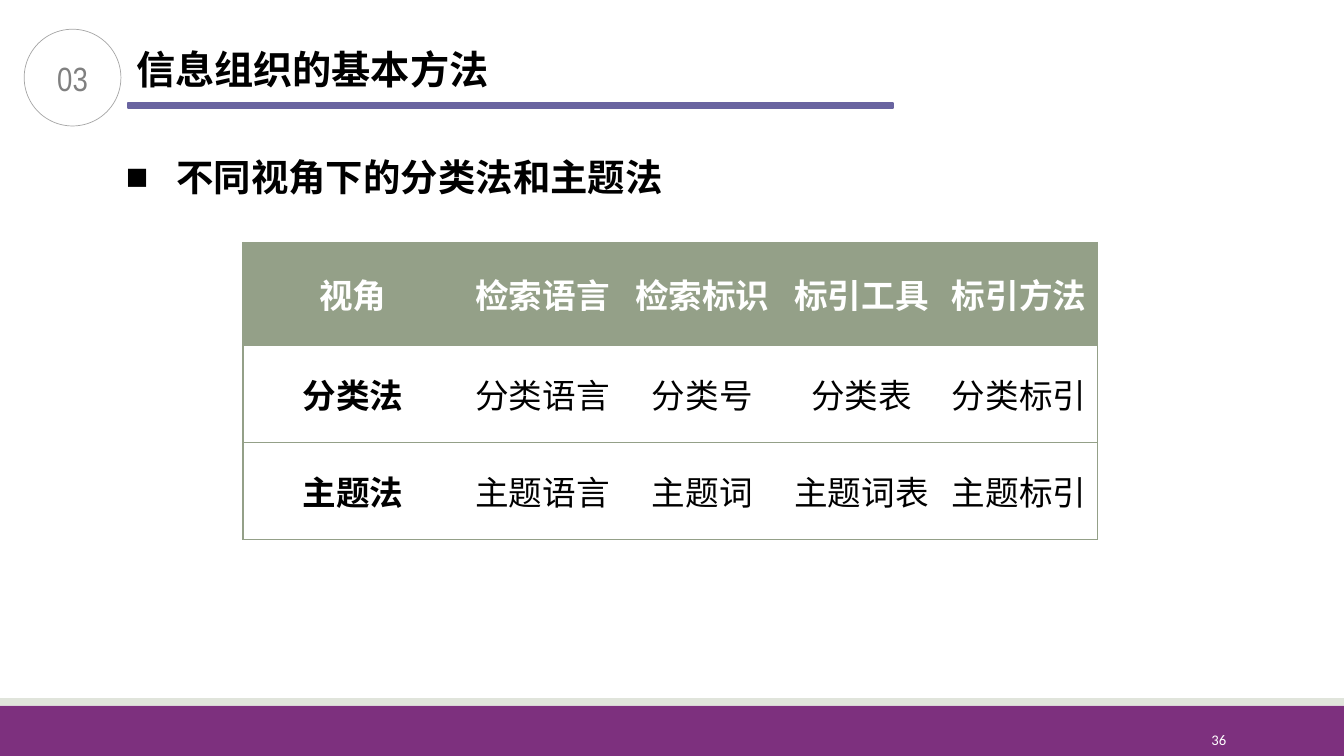
from dataclasses import dataclass

from lxml import etree
from pptx import Presentation
from pptx import util as u
from pptx.dml.color import RGBColor
from pptx.enum import shapes, text
from pptx.oxml.ns import qn


@dataclass(frozen=True)
class Theme:
    purple: str = "7D307E"
    pale: str = "E0E4DB"
    violet: str = "6964A0"
    sage: str = "94A088"
    ring: str = "A6A6A6"
    gray: str = "808080"
    black: str = "000000"
    white: str = "FFFFFF"
    cjk: str = "Noto Sans CJK SC"
    number_font: str = "Arial Narrow"
    page_font: str = "Calibri"
    title: float = 28
    body: float = 26.7
    cell: float = 24
    page: float = 10.5


def rgb(color):
    return RGBColor.from_string(color)


def write(tf, content, size, font, color, bold=False, align=text.PP_ALIGN.LEFT,
          spacing=None, bullet=None, indent=0):
    p = tf.paragraphs[0]
    p.alignment = align
    if spacing:
        p.line_spacing = spacing
    pPr = p._p.get_or_add_pPr()
    if bullet:
        pPr.set("marL", str(u.Pt(indent)))
        pPr.set("indent", str(-u.Pt(indent)))
        etree.SubElement(pPr, qn("a:buFont"), typeface="Arial")
        etree.SubElement(pPr, qn("a:buChar"), char=bullet)
    r = p.add_run()
    r.text = content
    f = r.font
    f.size, f.name, f.bold = u.Pt(size), font, bold
    f.color.rgb = rgb(color)
    etree.SubElement(r._r.get_or_add_rPr(), qn("a:ea"), typeface=font)


class Deck:
    def __init__(self, theme):
        self.t = theme
        self.prs = Presentation()
        self.prs.slide_width, self.prs.slide_height = u.Pt(960), u.Pt(540)
        self.s = self.prs.slides.add_slide(self.prs.slide_layouts[5])

    def title(self, content, box, **fmt):
        sp = self.s.shapes.title
        sp.left, sp.top, sp.width, sp.height = map(u.Pt, box)
        self.frame(sp, content, wrap=False, **fmt)

    def text(self, content, box, **fmt):
        self.frame(self.s.shapes.add_textbox(*map(u.Pt, box)), content, **fmt)

    def frame(self, sp, content, wrap=True, **fmt):
        tf = sp.text_frame
        tf.word_wrap = wrap
        tf.auto_size = text.MSO_AUTO_SIZE.NONE
        tf.vertical_anchor = text.MSO_ANCHOR.MIDDLE
        tf.margin_top = tf.margin_bottom = 0
        write(tf, content, **fmt)

    def shape(self, kind, box, fill=None, line=None, weight=1):
        sp = self.s.shapes.add_shape(kind, *map(u.Pt, box))
        sp.shadow.inherit = False
        if fill:
            sp.fill.solid()
            sp.fill.fore_color.rgb = rgb(fill)
        else:
            sp.fill.background()
        if line:
            sp.line.color.rgb = rgb(line)
            sp.line.width = u.Pt(weight)
        else:
            sp.line.fill.background()
        return sp

    def border(self, cell, sides):
        tcPr = cell._tc.get_or_add_tcPr()
        for i, side in enumerate("LRTB"):
            ln = etree.Element(qn(f"a:ln{side}"), w=str(u.Pt(1)))
            if side in sides:
                fill = etree.SubElement(ln, qn("a:solidFill"))
                etree.SubElement(fill, qn("a:srgbClr"), val=self.t.sage)
            else:
                etree.SubElement(ln, qn("a:noFill"))
            tcPr.insert(i, ln)

    def table(self, rows, left, top, widths, heights):
        t = self.t
        box = left, top, sum(widths), sum(heights)
        tb = self.s.shapes.add_table(len(rows), len(widths), *map(u.Pt, box)).table
        tb.horz_banding = False
        for col, width in zip(tb.columns, widths):
            col.width = u.Pt(width)
        for i, row in enumerate(rows):
            tb.rows[i].height = u.Pt(heights[i])
            for j, content in enumerate(row):
                cell = tb.cell(i, j)
                cell.vertical_anchor = text.MSO_ANCHOR.MIDDLE
                cell.fill.solid()
                cell.fill.fore_color.rgb = rgb(t.white if i else t.sage)
                ends = ("L" if j == 0 else "") + ("R" if j == len(row) - 1 else "")
                self.border(cell, "TB" + ends)
                write(cell.text_frame, content, t.cell, t.cjk,
                      t.black if i else t.white, bold=i == 0 or j == 0,
                      align=text.PP_ALIGN.CENTER)


def main():
    t = Theme()
    d = Deck(t)
    rect, oval = shapes.MSO_SHAPE.RECTANGLE, shapes.MSO_SHAPE.OVAL
    d.shape(rect, (0, 504, 960, 36), t.purple)
    d.shape(rect, (0, 498.7, 960, 5.3), t.pale)
    d.text("36", (780, 514, 103, 29), size=t.page, font=t.page_font,
           color=t.white, align=text.PP_ALIGN.RIGHT)
    d.shape(rect, (91.4, 73.4, 546.5, 3.6), t.violet, t.violet, 1.25)
    badge = d.shape(oval, (17.3, 20.9, 69.1, 69.1), line=t.ring, weight=0.5)
    d.frame(badge, "03", size=t.cell, font=t.number_font, color=t.gray,
            align=text.PP_ALIGN.CENTER)
    d.title("信息组织的基本方法", (90, 28.8, 270, 41), size=t.title,
            font=t.cjk, color=t.black, bold=True)
    d.text("不同视角下的分类法和主题法", (82.8, 93.6, 813, 49.7), size=t.body,
           font=t.cjk, color=t.black, bold=True, spacing=1.5, bullet="■", indent=36)
    d.table([
        ["视角", "检索语言", "检索标识", "标引工具", "标引方法"],
        ["分类法", "分类语言", "分类号", "分类表", "分类标引"],
        ["主题法", "主题语言", "主题词", "主题词表", "主题标引"],
    ], 173.6, 173.2, [157, 113.8, 114.5, 113, 112.3], [73.6, 69.4, 69.4])
    d.prs.save("out.pptx")


if __name__ == "__main__":
    main()
